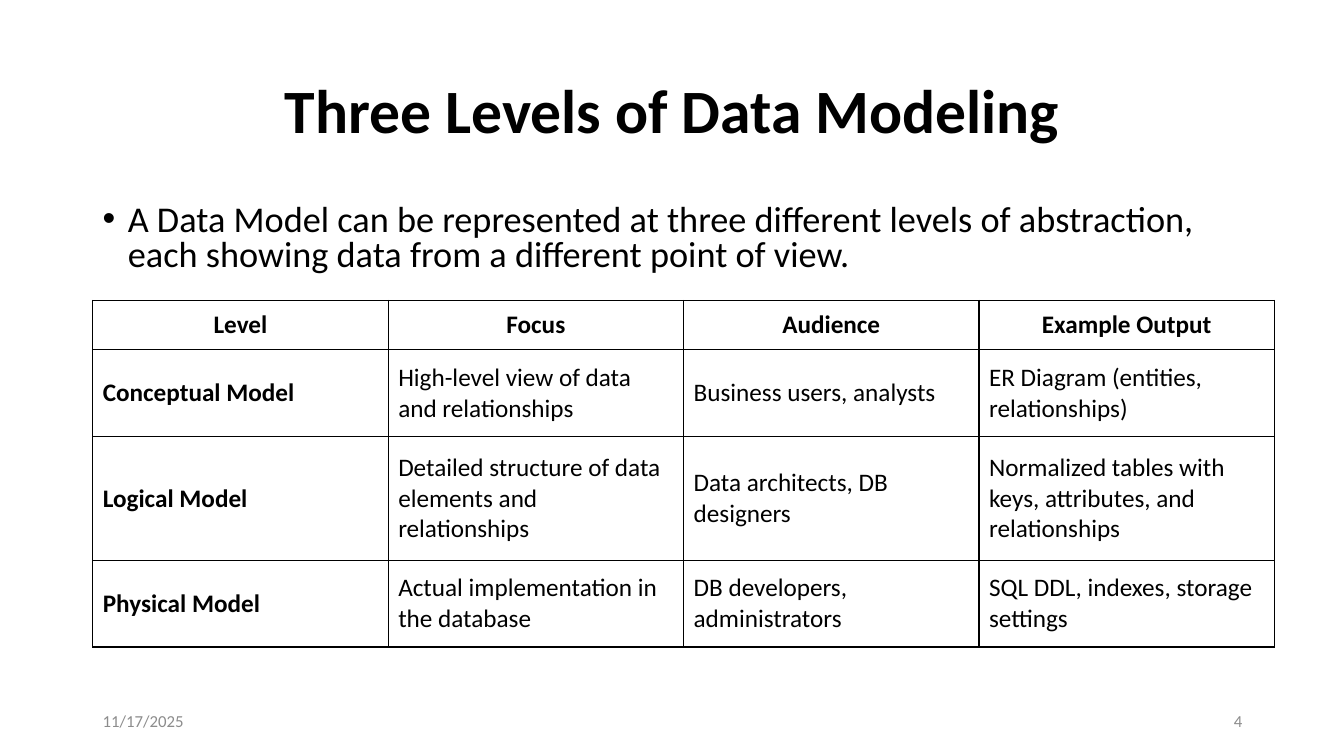
from dataclasses import dataclass

from lxml import etree
from pptx import Presentation, util as u
from pptx.dml.color import RGBColor
from pptx.enum import text
from pptx.oxml.ns import qn

# Content
HEADING = "Three Levels of Data Modeling"
SUMMARY = ("A Data Model can be represented at three different levels of abstraction, "
           "each showing data from a different point of view.")
LEVELS = [
    ("Level", "Focus", "Audience", "Example Output"),
    ("Conceptual Model", "High-level view of data and relationships",
     "Business users, analysts", "ER Diagram (entities, relationships)"),
    ("Logical Model", "Detailed structure of data elements and relationships",
     "Data architects, DB designers",
     "Normalized tables with keys, attributes, and relationships"),
    ("Physical Model", "Actual implementation in the database",
     "DB developers, administrators", "SQL DDL, indexes, storage settings"),
]
LINES_PER_ROW = (1, 2, 3, 2)
DATE, PAGE = "11/17/2025", "4"


@dataclass(frozen=True)
class Theme:
    font: str = "Calibri"
    ink: str = "000000"
    muted: str = "8C8C8C"
    paper: str = "FFFFFF"
    heading: float = 44
    summary: float = 25.9
    table: float = 18
    footer: float = 12
    border: float = 1


THEME = Theme()
LEFT, MIDDLE, RIGHT = text.PP_ALIGN.LEFT, text.PP_ALIGN.CENTER, text.PP_ALIGN.RIGHT

# Layout, in inches
WIDTH, HEIGHT = 13.33, 7.5
MARGIN = 0.92
CONTENT = 11.5
COLUMN = 2.93
LINE, ROW_PADDING = 0.37, 0.12
FOOTER_TOP, FOOTER_WIDTH, FOOTER_HEIGHT = 6.95, 3, 0.4


def write(frame, words, size, color=THEME.ink, bold=False, align=LEFT):
    """Put one styled run in the first paragraph and return that paragraph."""
    frame.word_wrap = True
    paragraph = frame.paragraphs[0]
    paragraph.alignment = align
    run = paragraph.add_run()
    run.text = words
    run.font.name, run.font.size, run.font.bold = THEME.font, u.Pt(size), bold
    run.font.color.rgb = RGBColor.from_string(color)
    return paragraph


def add_text(slide, box, words, size, anchor=text.MSO_ANCHOR.MIDDLE, **style):
    frame = slide.shapes.add_textbox(*map(u.Inches, box)).text_frame
    paragraph = write(frame, words, size, **style)
    frame.vertical_anchor = anchor
    return paragraph


def add_bullet(paragraph, indent):
    properties = paragraph._p.get_or_add_pPr()
    properties.set("marL", str(u.Inches(indent)))
    properties.set("indent", str(-u.Inches(indent)))
    etree.SubElement(properties, qn("a:buFont"), typeface="Arial")
    etree.SubElement(properties, qn("a:buChar"), char="•")


def add_borders(cell):
    properties = cell._tc.get_or_add_tcPr()
    for position, side in enumerate(("lnL", "lnR", "lnT", "lnB")):
        line = etree.Element(qn(f"a:{side}"), w=str(u.Pt(THEME.border)))
        fill = etree.SubElement(line, qn("a:solidFill"))
        etree.SubElement(fill, qn("a:srgbClr"), val=THEME.ink)
        properties.insert(position, line)


def add_levels(slide):
    heights = [LINE * lines + ROW_PADDING for lines in LINES_PER_ROW]
    columns = len(LEVELS[0])
    box = (MARGIN, 2.98, COLUMN * columns, sum(heights))
    table = slide.shapes.add_table(len(LEVELS), columns, *map(u.Inches, box)).table
    for column in table.columns:
        column.width = u.Inches(COLUMN)
    for r, (level, height) in enumerate(zip(LEVELS, heights)):
        table.rows[r].height = u.Inches(height)
        for c, words in enumerate(level):
            cell = table.cell(r, c)
            cell.fill.solid()
            cell.fill.fore_color.rgb = RGBColor.from_string(THEME.paper)
            cell.vertical_anchor = text.MSO_ANCHOR.MIDDLE
            write(cell.text_frame, words, THEME.table, bold=r == 0 or c == 0,
                  align=MIDDLE if r == 0 else LEFT)
            add_borders(cell)


def main():
    deck = Presentation()
    deck.slide_width, deck.slide_height = u.Inches(WIDTH), u.Inches(HEIGHT)
    slide = deck.slides.add_slide(deck.slide_layouts[6])

    # Heading and summary
    heading = add_text(slide, (MARGIN, 0.4, CONTENT, 1.45), HEADING, THEME.heading,
                       bold=True, align=MIDDLE)
    heading.line_spacing = 0.9
    summary = add_text(slide, (MARGIN, 1.98, CONTENT, 0.83), SUMMARY, THEME.summary,
                       anchor=text.MSO_ANCHOR.TOP)
    summary.line_spacing = 0.8
    summary.space_before = u.Pt(10)
    add_bullet(summary, 0.25)

    # Table of levels
    add_levels(slide)

    # Footer
    page_left = MARGIN + CONTENT - FOOTER_WIDTH
    for left, words, align in ((MARGIN, DATE, LEFT), (page_left, PAGE, RIGHT)):
        add_text(slide, (left, FOOTER_TOP, FOOTER_WIDTH, FOOTER_HEIGHT), words,
                 THEME.footer, color=THEME.muted, align=align)

    deck.save("out.pptx")


if __name__ == "__main__":
    main()
